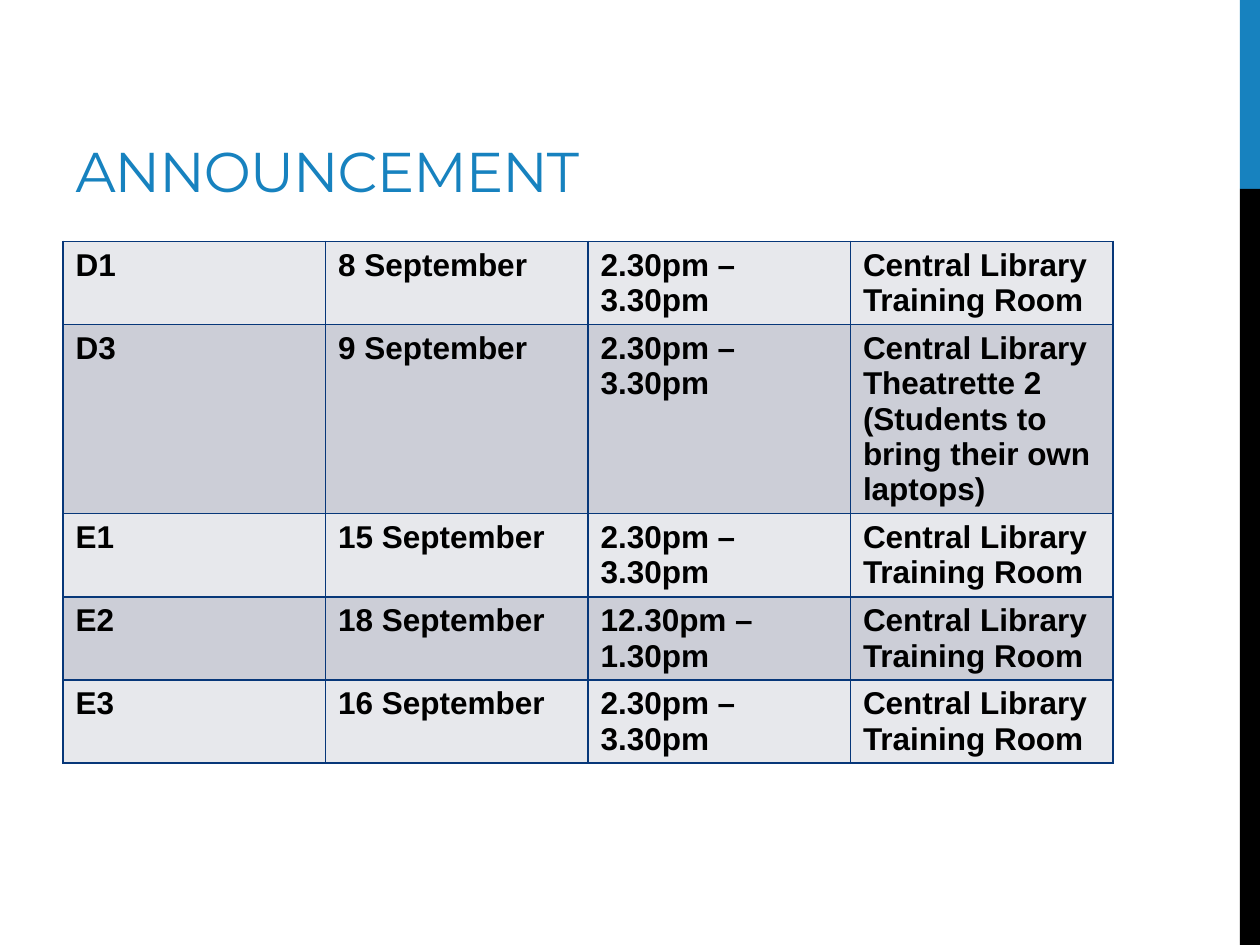
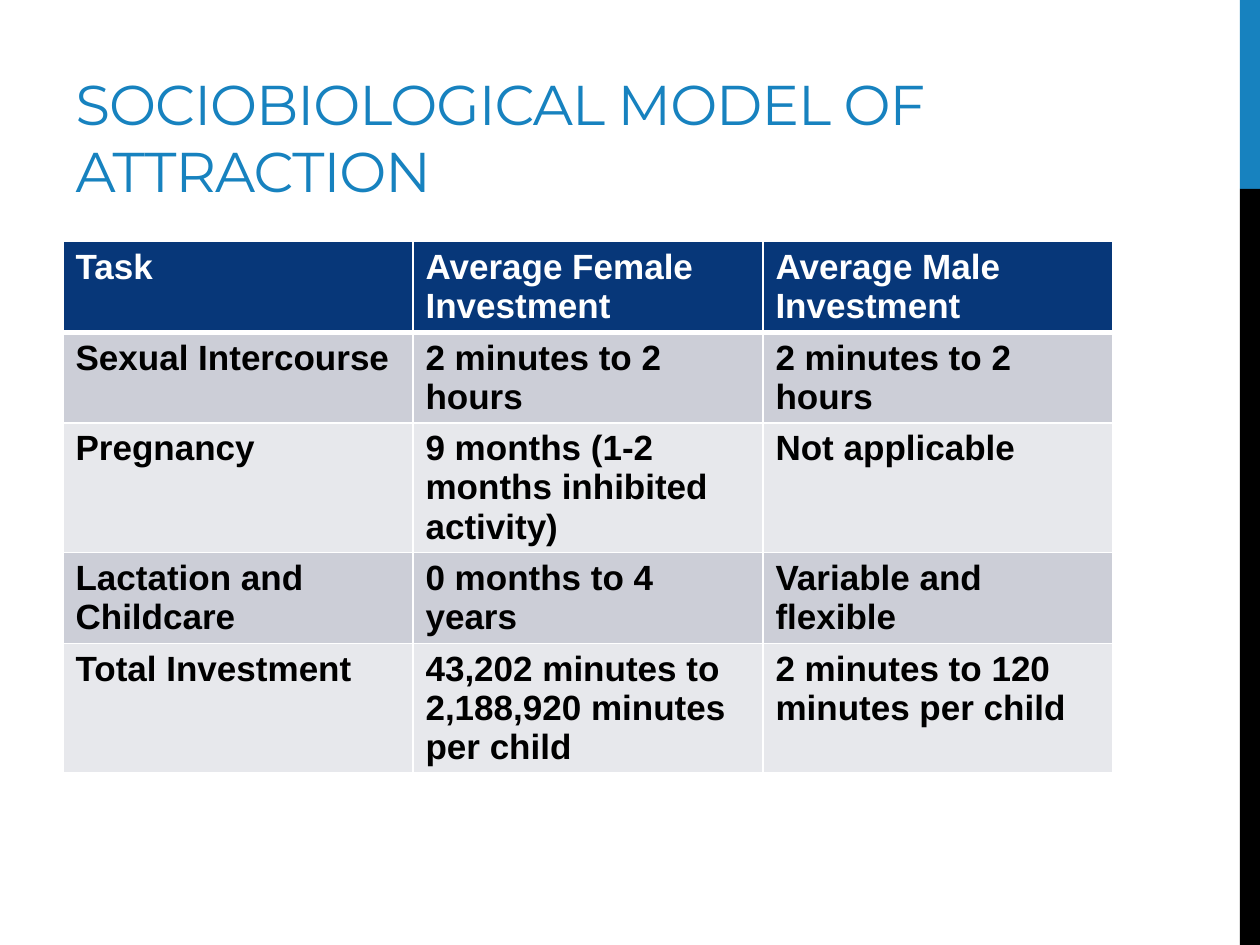
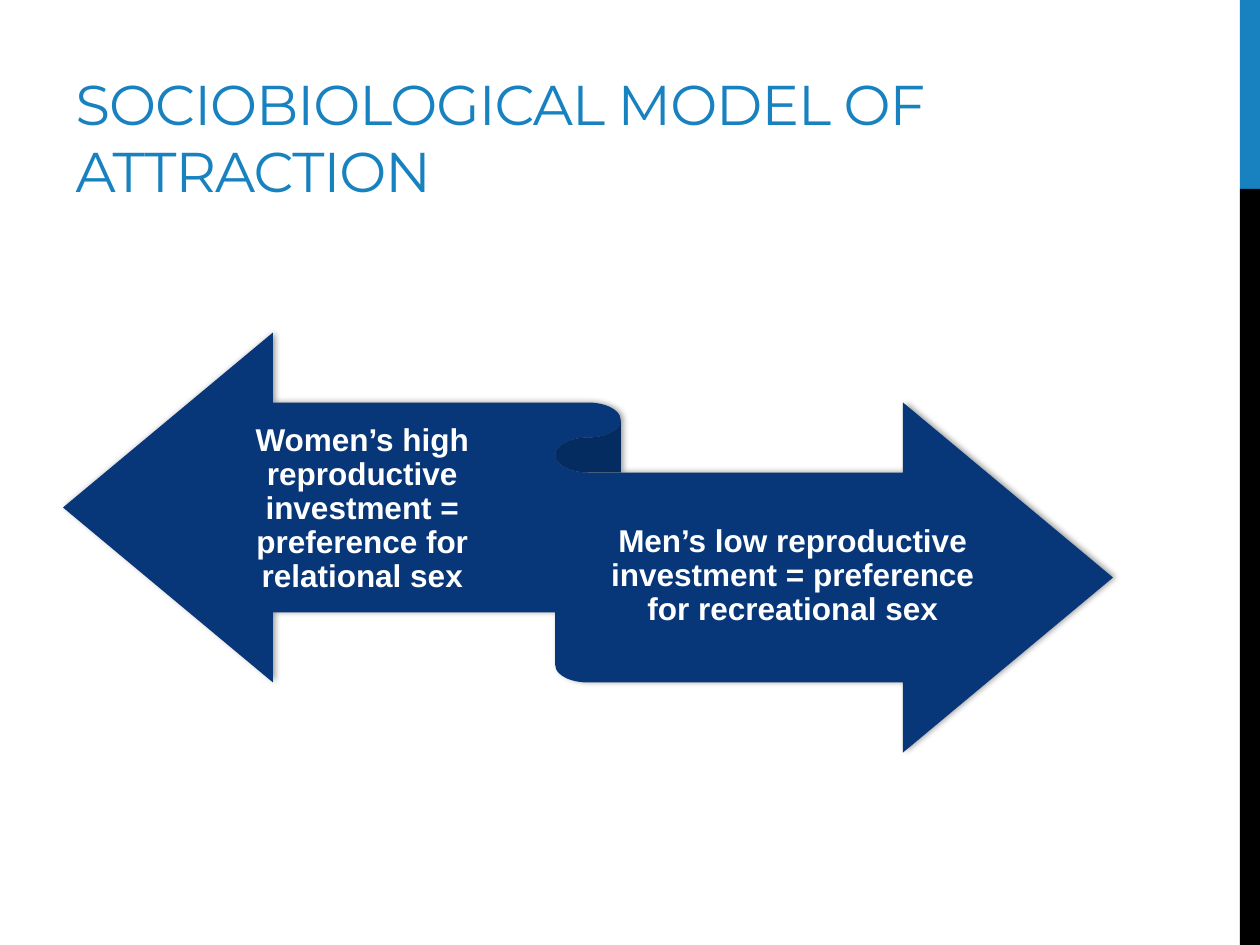
from dataclasses import dataclass

from lxml import etree
from pptx import Presentation
from pptx.dml.color import RGBColor
from pptx.enum.shapes import MSO_SHAPE
from pptx.enum.text import MSO_ANCHOR, MSO_AUTO_SIZE, PP_ALIGN
from pptx.oxml.ns import qn
from pptx.util import Pt

RECTANGLE = MSO_SHAPE.RECTANGLE
RIBBON = MSO_SHAPE.LEFT_RIGHT_RIBBON
BOTTOM, MIDDLE = MSO_ANCHOR.BOTTOM, MSO_ANCHOR.MIDDLE
LEFT, CENTER = PP_ALIGN.LEFT, PP_ALIGN.CENTER
NO_AUTOFIT = MSO_AUTO_SIZE.NONE


@dataclass(frozen=True)
class Theme:
    accent: str = "1782BF"
    navy: str = "073779"
    black: str = "000000"
    white: str = "FFFFFF"
    light_row: str = "E7E8EC"
    dark_row: str = "CCCED7"
    title_font: str = "Montserrat"
    body_font: str = "Arial"
    title_size: int = 32
    schedule_size: int = 18
    investment_size: int = 20
    ribbon_size: int = 18


THEME = Theme()
WIDTH, HEIGHT = 720, 540
MARGIN = 36
CONTENT_WIDTH = 600
TITLE_ONLY_LAYOUT = 5
MODEL_TITLE = "SOCIOBIOLOGICAL MODEL OF ATTRACTION"
TRAINING_ROOM = "Central Library Training Room"
AFTERNOON = "2.30pm – 3.30pm"

SCHEDULE = [
    ("D1", "8\u00a0September", AFTERNOON, TRAINING_ROOM),
    ("D3", "9 September", AFTERNOON,
     "Central Library Theatrette 2 (Students to bring their own laptops)"),
    ("E1", "15 September", AFTERNOON, TRAINING_ROOM),
    ("E2", "18 September", "12.30pm – 1.30pm", TRAINING_ROOM),
    ("E3", "16 September", AFTERNOON, TRAINING_ROOM),
]

INVESTMENTS = [
    ("Task", "Average Female Investment", "Average Male Investment"),
    ("Sexual Intercourse", "2 minutes to 2 hours", "2 minutes to 2 hours"),
    ("Pregnancy", "9 months (1-2 months inhibited activity)", "Not applicable"),
    ("Lactation and Childcare", "0 months to 4 years", "Variable and flexible"),
    ("Total Investment", "43,202 minutes to 2,188,920 minutes per child",
     "2 minutes to 120 minutes per child"),
]


def rgb(color):
    return RGBColor.from_string(color)


def points(*lengths):
    return [Pt(length) for length in lengths]


def add_color(parent, color):
    return etree.SubElement(parent, qn("a:srgbClr"), val=color)


def format_runs(paragraph, font, size, color, bold=False):
    for run in paragraph.runs:
        run.font.name = font
        run.font.size = Pt(size)
        run.font.color.rgb = rgb(color)
        run.font.bold = bold


def fill_plain(shape, color):
    shape.shadow.inherit = False
    shape.fill.solid()
    shape.fill.fore_color.rgb = rgb(color)
    shape.line.fill.background()


def add_side_bands(master, slide):
    left = 708.5
    accent_height = 108
    bands = [(0, accent_height, THEME.accent),
             (accent_height, HEIGHT - accent_height, THEME.black)]
    for band_id, (top, height, color) in enumerate(bands, start=20):
        band = slide.shapes.add_shape(
            RECTANGLE, *points(left, top, WIDTH - left, height))
        fill_plain(band, color)
        band.element.nvSpPr.cNvPr.set("id", str(band_id))
        master.element.cSld.spTree.append(band.element)


def add_titled_slide(deck, heading, width):
    slide = deck.slides.add_slide(deck.slide_layouts[TITLE_ONLY_LAYOUT])
    title = slide.shapes.title
    title.left, title.top, title.width, title.height = points(MARGIN, 12, width, 108)
    frame = title.text_frame
    frame.text = heading
    frame.auto_size = NO_AUTOFIT
    frame.word_wrap = True
    frame.vertical_anchor = BOTTOM
    paragraph = frame.paragraphs[0]
    paragraph.alignment = LEFT
    format_runs(paragraph, THEME.title_font, THEME.title_size, THEME.accent)
    for run in paragraph.runs:
        run.font._element.set("spc", "-60")
    return slide


def set_borders(cell, color, bottom_width):
    properties = cell._tc.get_or_add_tcPr()
    for side, width in (("L", 1), ("R", 1), ("T", 1), ("B", bottom_width)):
        border = etree.SubElement(properties, qn("a:ln" + side), w=str(Pt(width)))
        add_color(etree.SubElement(border, qn("a:solidFill")), color)


def add_grid(slide, rows, height, size, border, has_header):
    columns = len(rows[0])
    holder = slide.shapes.add_table(
        len(rows), columns, *points(MARGIN, 138, CONTENT_WIDTH, height))
    grid = holder.table
    grid.first_row = has_header
    grid.horz_banding = False
    for column in grid.columns:
        column.width = Pt(CONTENT_WIDTH / columns)
    for index, texts in enumerate(rows):
        grid.rows[index].height = Pt(29.2)
        is_header = has_header and index == 0
        band = THEME.dark_row if index % 2 else THEME.light_row
        for cell, text in zip(grid.rows[index].cells, texts):
            cell.text = text
            format_runs(cell.text_frame.paragraphs[0], THEME.body_font, size,
                        THEME.white if is_header else THEME.black, True)
            set_borders(cell, border, 3 if is_header else 1)
            cell.fill.solid()
            cell.fill.fore_color.rgb = rgb(THEME.navy if is_header else band)
    holder.height = Pt(height)


def add_soft_shadow(shape):
    effects = shape.element.spPr.find(qn("a:effectLst"))
    shadow = etree.SubElement(effects, qn("a:outerShdw"), blurRad=str(Pt(3.1)),
                              dist=str(Pt(1.8)), dir="0", rotWithShape="0")
    etree.SubElement(add_color(shadow, THEME.black), qn("a:alpha"), val="40000")


def add_ribbon_label(group, text, left, top, width):
    label = group.shapes.add_textbox(*points(left, top, width, 117.6))
    frame = label.text_frame
    frame.text = text
    frame.word_wrap = True
    frame.vertical_anchor = MIDDLE
    frame.margin_left = frame.margin_right = 0
    frame.margin_top = frame.margin_bottom = Pt(5)
    paragraph = frame.paragraphs[0]
    paragraph.alignment = CENTER
    paragraph.line_spacing = 0.9
    format_runs(paragraph, THEME.body_font, THEME.ribbon_size, THEME.white, True)


def add_opposing_ribbon(slide):
    group = slide.shapes.add_group_shape()
    ribbon = group.shapes.add_shape(RIBBON, *points(MARGIN, 190, CONTENT_WIDTH, 240))
    fill_plain(ribbon, THEME.navy)
    add_soft_shadow(ribbon)
    add_ribbon_label(
        group, "Women’s high reproductive investment = preference for relational sex",
        108, 232, 198)
    add_ribbon_label(
        group, "Men’s low reproductive investment = preference for recreational sex",
        336, 270.4, 234)


def main():
    deck = Presentation()
    deck.slide_width, deck.slide_height = points(WIDTH, HEIGHT)

    announcement = add_titled_slide(deck, "ANNOUNCEMENT", 456)
    add_side_bands(deck.slide_master, announcement)
    add_grid(announcement, SCHEDULE, 316.8, THEME.schedule_size, THEME.navy, False)

    investment = add_titled_slide(deck, MODEL_TITLE, 666)
    add_grid(investment, INVESTMENTS, 324, THEME.investment_size, THEME.white, True)

    preference = add_titled_slide(deck, MODEL_TITLE, 666)
    add_opposing_ribbon(preference)

    deck.save("out.pptx")


main()
